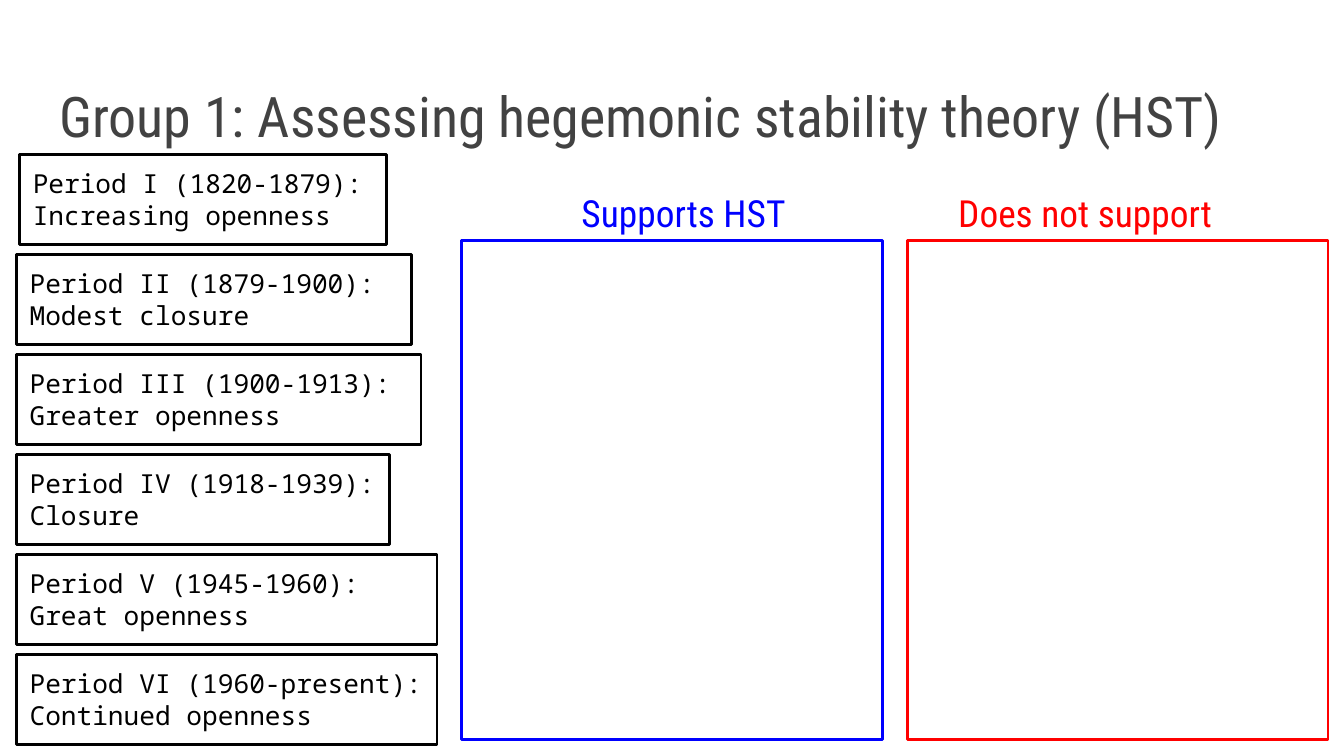
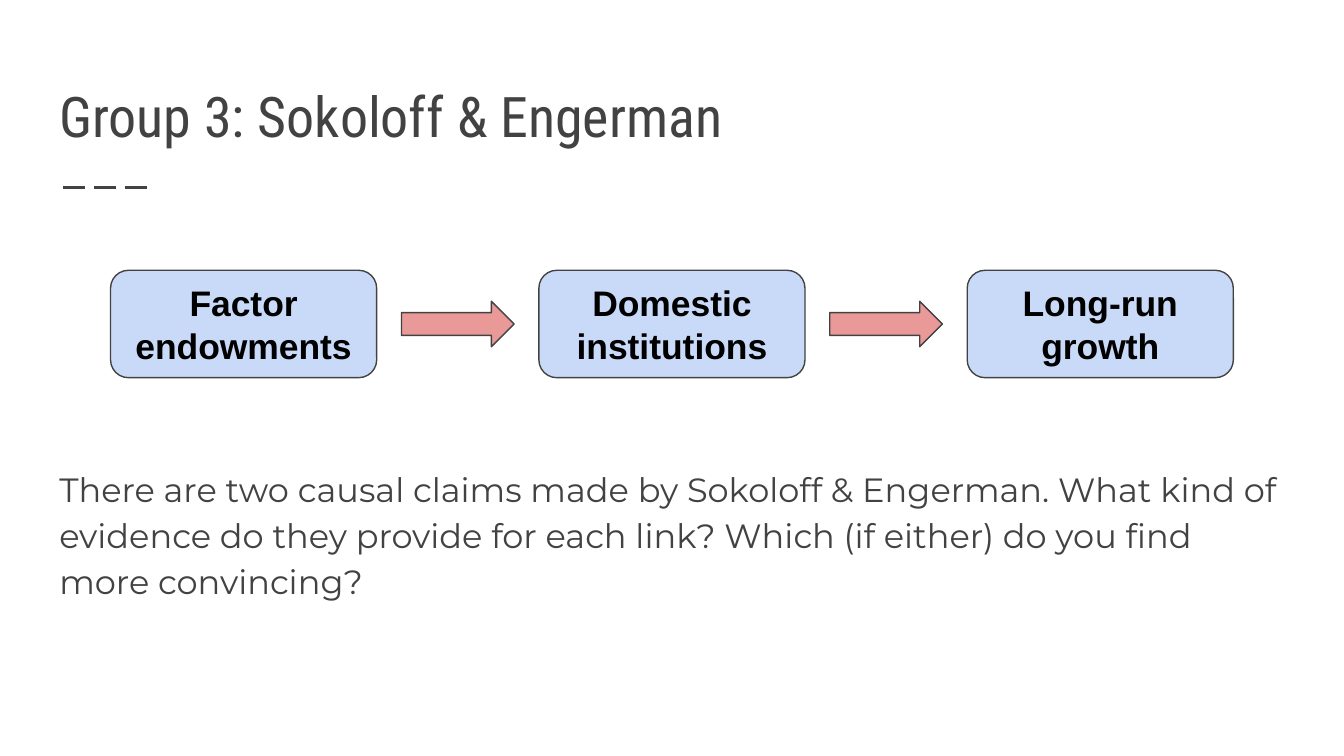
from lxml import etree
from pptx import Presentation
from pptx.dml.color import RGBColor
from pptx.enum.dml import MSO_LINE
from pptx.enum.shapes import MSO_CONNECTOR, MSO_SHAPE
from pptx.enum.text import MSO_ANCHOR, MSO_AUTO_SIZE, PP_ALIGN
from pptx.oxml.ns import qn
from pptx.util import Cm, Pt

RECT, ROUND, ARROW = MSO_SHAPE.RECTANGLE, MSO_SHAPE.ROUNDED_RECTANGLE, MSO_SHAPE.RIGHT_ARROW
STRAIGHT, DASH = MSO_CONNECTOR.STRAIGHT, MSO_LINE.LONG_DASH
TOP, MIDDLE, BOTTOM = MSO_ANCHOR.TOP, MSO_ANCHOR.MIDDLE, MSO_ANCHOR.BOTTOM
LEFT, CENTER = PP_ALIGN.LEFT, PP_ALIGN.CENTER
FIXED = MSO_AUTO_SIZE.NONE

COLORS = {
    "white": "FFFFFF", "black": "000000", "gray": "424242", "blue": "0000FF",
    "red": "FF0000", "pale": "C9DAF8", "pink": "EA9999",
}
HEAD, BODY, MONO, SANS = "Roboto Condensed", "Montserrat", "Noto Sans Mono", "Arial"
BODY_LAYOUT, TITLE_LAYOUT = 1, 5
INSET = Cm(0.25)

TITLE_BOX = (0.87, 1.04, 23.67, 2.03)
PERIODS = [  # text, left, width
    ("Period I (1820-1879):\nIncreasing openness", 0.37, 6.93),
    ("Period II (1879-1900):\nModest closure", 0.31, 7.47),
    ("Period III (1900-1913):\nGreater openness", 0.31, 7.65),
    ("Period IV (1918-1939):\nClosure", 0.31, 7.06),
    ("Period V (1945-1960):\nGreat openness", 0.31, 7.95),
    ("Period VI (1960-present):\nContinued openness", 0.31, 7.95),
]
STEPS = ["Factor endowments", "Domestic institutions", "Long-run growth"]
QUESTION = (
    "There are two causal claims made by Sokoloff & Engerman. What kind of evidence "
    "do they provide for each link? Which (if either) do you find more convincing?"
)


def color(name):
    return RGBColor.from_string(COLORS[name])


def place(shape, box):
    shape.left, shape.top, shape.width, shape.height = map(Cm, box)


def write(shape, text, font, size, tint, align=LEFT, anchor=TOP, bold=False):
    frame = shape.text_frame
    frame.text = text
    frame.word_wrap = True
    frame.auto_size = FIXED
    frame.vertical_anchor = anchor
    frame.margin_left = frame.margin_right = INSET
    frame.margin_top = frame.margin_bottom = INSET
    for par in frame.paragraphs:
        par.alignment = align
        for run in par.runs:
            run.font.name = font
            run.font.size = Pt(size)
            run.font.bold = bold
            run.font.color.rgb = color(tint)


def draw(slide, kind, box, fill, line, weight):
    shape = slide.shapes.add_shape(kind, *map(Cm, box))
    shape.shadow.inherit = False
    if fill:
        shape.fill.solid()
        shape.fill.fore_color.rgb = color(fill)
    else:
        shape.fill.background()
    shape.line.color.rgb = color(line)
    shape.line.width = Pt(weight)
    return shape


def start(deck, layout, text):
    """Add a slide with the shared title style."""
    slide = deck.slides.add_slide(deck.slide_layouts[layout])
    title = slide.shapes.title
    place(title, TITLE_BOX)
    write(title, text, HEAD, 30, "gray", anchor=BOTTOM)
    return slide


def add_rule(slide, left, top, width):
    rule = slide.shapes.add_connector(STRAIGHT, Cm(left), Cm(top), Cm(left + width), Cm(top))
    rule.line.color.rgb = color("gray")
    rule.line.width = Pt(1.5)
    rule.line.dash_style = DASH
    etree.SubElement(rule._element.spPr, qn("a:effectLst"))


def add_periods(slide, top, step, height):
    for i, (text, left, width) in enumerate(PERIODS):
        fill = "white" if i == 0 else None
        box = draw(slide, RECT, (left, top + i * step, width, height), fill, "black", 1.5)
        write(box, text, MONO, 14, "black")


def add_column(slide, box, text, tint, shift, width):
    """Draw an answer box; its label starts shift to the right of the box."""
    left, top = box[:2]
    label = slide.shapes.add_textbox(Cm(left + shift), Cm(top - 1.2), Cm(width), Cm(1.37))
    write(label, text, HEAD, 20, tint)
    draw(slide, RECT, box, "white", tint, 1.5)


def add_flow(slide, box):
    """Spread the steps over the box with an arrow centred in each gap."""
    left, top, width, height = box
    wide, long, thick = 5.03, 2.13, 0.86
    pitch = (width - wide) / (len(STEPS) - 1)
    for i, text in enumerate(STEPS):
        x = left + i * pitch
        if i:
            gap = pitch - wide
            spot = (x - (gap + long) / 2, top + (height - thick) / 2, long, thick)
            draw(slide, ARROW, spot, "pink", "gray", 0.75)
        step = draw(slide, ROUND, (x, top, wide, height), "pale", "gray", 0.75)
        write(step, text, SANS, 19, "black", CENTER, MIDDLE, True)


def add_body(slide, box):
    body = slide.placeholders[1]
    place(body, box)
    write(body, QUESTION, BODY, 18, "gray")
    par = body.text_frame.paragraphs[0]
    par.line_spacing = 1.15
    par.space_before, par.space_after = Pt(0), Pt(12)
    props = par._p.get_or_add_pPr()
    props.set("marL", "0")
    props.set("indent", "0")
    etree.SubElement(props, qn("a:buNone"))


def hegemony(deck):
    slide = start(deck, TITLE_LAYOUT, "Group 1: Assessing hegemonic stability theory (HST)")
    add_periods(slide, 2.92, 1.89, 1.7)
    add_column(slide, (8.73, 4.55, 7.95, 9.43), "Supports HST", "blue", 2.01, 4.88)
    add_column(slide, (17.15, 4.55, 7.95, 9.43), "Does not support", "red", 0.71, 6.55)


def growth(deck):
    slide = start(deck, BODY_LAYOUT, "Group 3: Sokoloff & Engerman")
    add_rule(slide, 1.19, 3.54, 1.7)
    add_body(slide, (0.87, 8.49, 23.67, 4.19))
    add_flow(slide, (2.09, 5.11, 21.22, 2.03))


def main():
    deck = Presentation()
    deck.slide_width, deck.slide_height = Cm(25.4), Cm(14.29)
    hegemony(deck)
    growth(deck)
    deck.save("out.pptx")


if __name__ == "__main__":
    main()
